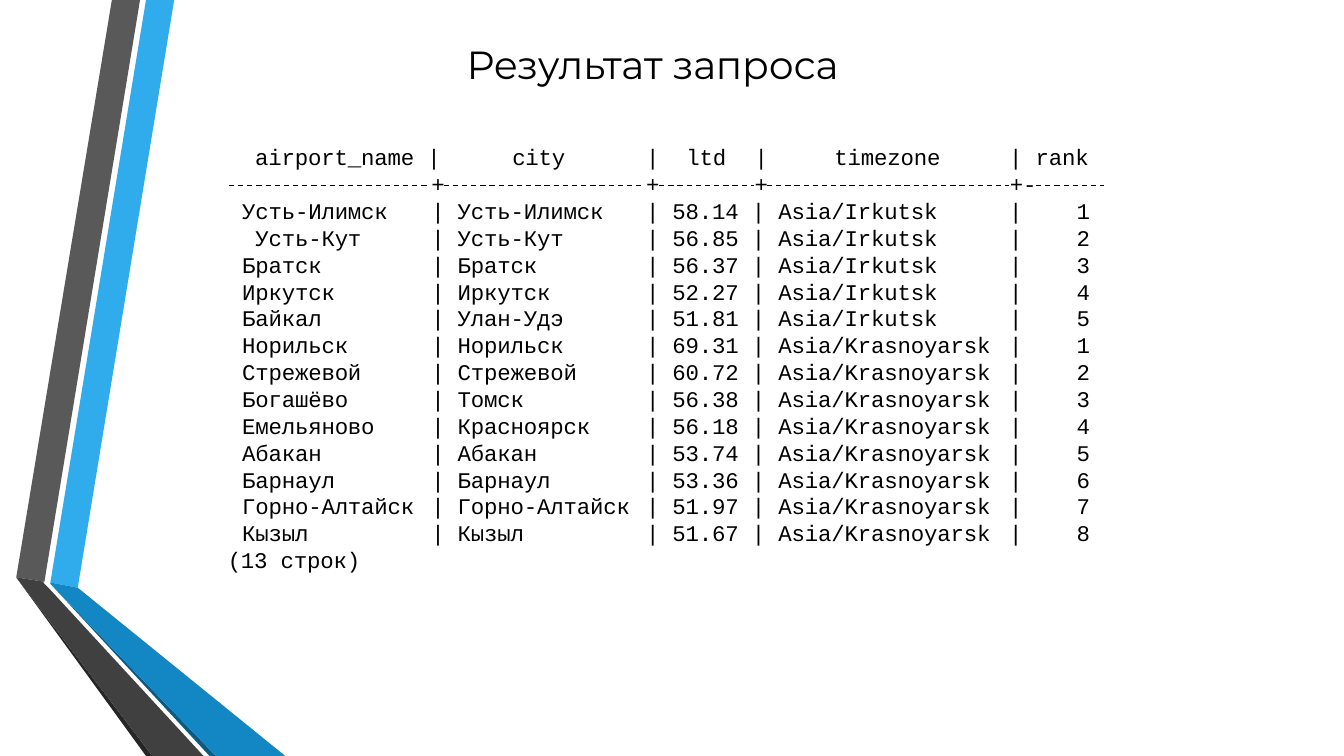
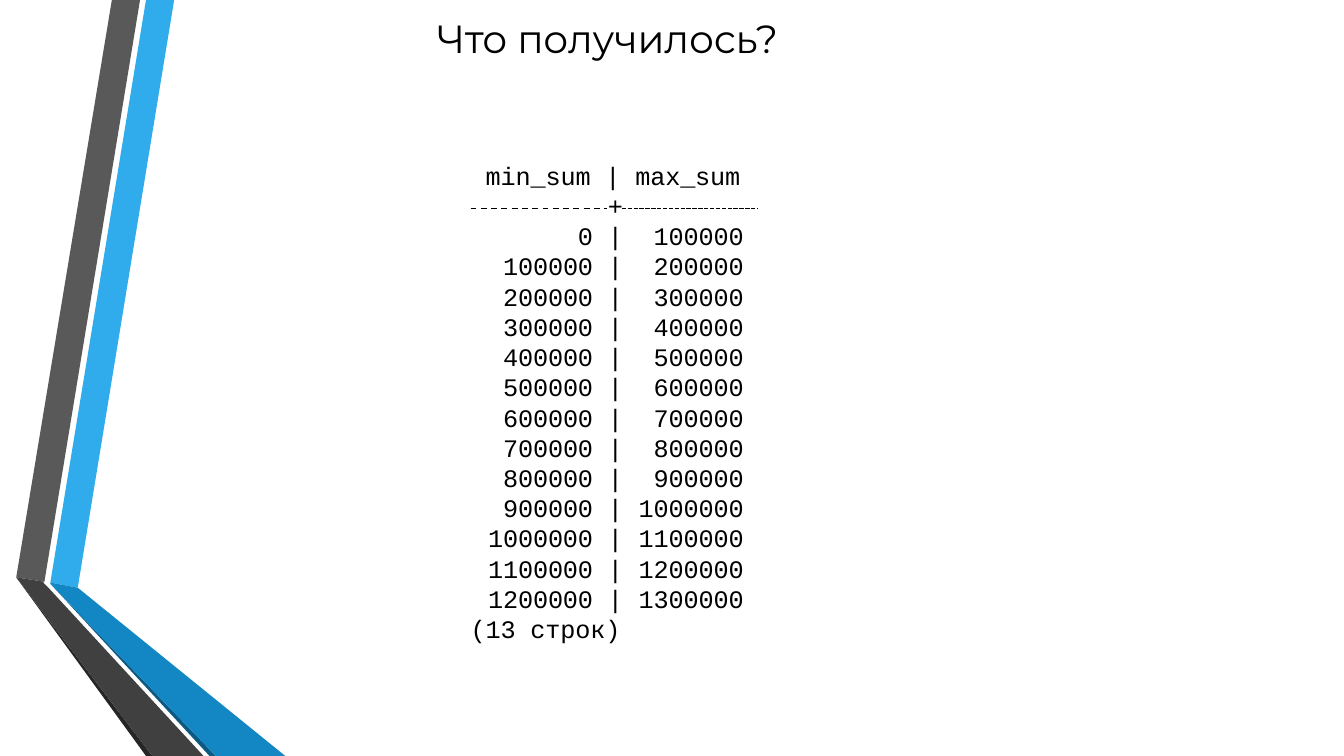
from pptx import Presentation
from pptx.dml.color import RGBColor
from pptx.enum.dml import MSO_LINE
from pptx.enum.shapes import MSO_CONNECTOR
from pptx.enum.text import MSO_ANCHOR, MSO_AUTO_SIZE, PP_ALIGN
from pptx.oxml.ns import qn
from pptx.util import Cm, Pt
from lxml.etree import SubElement

# Shared look
BLACK = RGBColor(0x00, 0x00, 0x00)
SKY = RGBColor(0x30, 0xAC, 0xEC)
BLUE = RGBColor(0x12, 0x87, 0xC3)
NAVY = RGBColor(0x0C, 0x5A, 0x82)
GRAY = RGBColor(0x59, 0x59, 0x59)
CHARCOAL = RGBColor(0x40, 0x40, 0x40)
SOOT = RGBColor(0x26, 0x26, 0x26)
TITLE_FONT = "Montserrat"
CODE_FONT = "Courier New"
CM_PER_PT = 2.54 / 72

# Ribbon outlines in hundredths of a centimetre, back to front
RIBBONS = [
    (SKY, [(127, 1468), (196, 1481), (439, 0), (368, 0)]),
    (GRAY, [(353, 0), (282, 0), (41, 1455), (112, 1466)]),
    (SOOT, [(41, 1455), (368, 1905), (384, 1905)]),
    (NAVY, [(127, 1471), (528, 1905), (544, 1905)]),
    (BLUE, [(127, 1468), (127, 1471), (544, 1905), (719, 1905), (196, 1481)]),
    (CHARCOAL, [(513, 1905), (122, 1481), (109, 1468), (112, 1466),
                (41, 1455), (384, 1905)]),
]

# Query results
AIRPORTS = [
    ("Усть-Илимск", "Усть-Илимск", "58.14", "Irkutsk", 1),
    (" Усть-Кут", "Усть-Кут", "56.85", "Irkutsk", 2),
    ("Братск", "Братск", "56.37", "Irkutsk", 3),
    ("Иркутск", "Иркутск", "52.27", "Irkutsk", 4),
    ("Байкал", "Улан-Удэ", "51.81", "Irkutsk", 5),
    ("Норильск", "Норильск", "69.31", "Krasnoyarsk", 1),
    ("Стрежевой", "Стрежевой", "60.72", "Krasnoyarsk", 2),
    ("Богашёво", "Томск", "56.38", "Krasnoyarsk", 3),
    ("Емельяново", "Красноярск", "56.18", "Krasnoyarsk", 4),
    ("Абакан", "Абакан", "53.74", "Krasnoyarsk", 5),
    ("Барнаул", "Барнаул", "53.36", "Krasnoyarsk", 6),
    ("Горно-Алтайск", "Горно-Алтайск", "51.97", "Krasnoyarsk", 7),
    ("Кызыл", "Кызыл", "51.67", "Krasnoyarsk", 8),
]
STEP = 100000
RANGES = [(n * STEP, (n + 1) * STEP) for n in range(13)]
ROW_COUNT = "(13 строк)"


def write(frame, lines, font=CODE_FONT, size=16, align=PP_ALIGN.LEFT,
          pitch=None, anchor=MSO_ANCHOR.TOP):
    """Fill a text frame with one paragraph per line."""
    frame.margin_left = frame.margin_right = 0
    frame.margin_top = frame.margin_bottom = 0
    frame.word_wrap = True
    frame.auto_size = MSO_AUTO_SIZE.NONE
    frame.vertical_anchor = anchor
    for n, line in enumerate(lines):
        para = frame.add_paragraph() if n else frame.paragraphs[0]
        para.alignment = align
        if pitch:
            para.line_spacing = Pt(pitch)
        span = para.add_run()
        span.text = line
        span.font.name = font
        span.font.size = Pt(size)
        span.font.color.rgb = BLACK
        span.font._element.set("spc", "-10")


def add_column(page, x, row, lines, top, size, align=PP_ALIGN.LEFT):
    """Put lines on the row grid; x is the edge the text aligns to."""
    pitch = 1.2 * size
    row_height = pitch * CM_PER_PT
    width = max(map(len, lines)) * 0.6 * size * CM_PER_PT + 0.2
    left = x - width if align == PP_ALIGN.RIGHT else x
    box = page.shapes.add_textbox(Cm(left), Cm(top + row * row_height),
                                  Cm(width), Cm(len(lines) * row_height))
    write(box.text_frame, lines, size=size, align=align, pitch=pitch)


def add_rule(page, start, end, y, weight, dash=MSO_LINE.DASH):
    rule = page.shapes.add_connector(MSO_CONNECTOR.STRAIGHT,
                                     Cm(start), Cm(y), Cm(end), Cm(y))
    rule.line.color.rgb = BLACK
    rule.line.width = Pt(weight)
    rule.line.dash_style = dash
    SubElement(rule._element.spPr, qn("a:effectLst"))


def add_ribbons(page, layout):
    """Draw the ribbons and move them to the layout behind its placeholders."""
    for n, (color, points) in enumerate(RIBBONS):
        builder = page.shapes.build_freeform(*points[0], scale=Cm(0.01))
        builder.add_line_segments(points[1:], close=True)
        ribbon = builder.convert_to_shape()
        ribbon.fill.solid()
        ribbon.fill.fore_color.rgb = color
        ribbon.line.fill.background()
        ribbon.shadow.inherit = False
        ribbon.element.nvSpPr.cNvPr.set("id", str(100 + n))
        layout.shapes.element.insert(2 + n, ribbon.element)


def add_page(deck, layout, title, left, top, width, height):
    page = deck.slides.add_slide(layout)
    box = page.shapes.title
    box.left, box.top = Cm(left), Cm(top)
    box.width, box.height = Cm(width), Cm(height)
    write(box.text_frame, [title], font=TITLE_FONT, size=28,
          align=PP_ALIGN.CENTER, anchor=MSO_ANCHOR.MIDDLE)
    return page


def add_airports(page):
    grid = {"top": 3.61, "size": 16}
    # Headings and rule
    for x, text in [(6.43, "airport_name |"), (12.91, "city"), (16.28, "|"),
                    (17.3, "ltd"), (19.02, "|"), (21.03, "timezone"),
                    (25.43, "| rank")]:
        add_column(page, x, 0, [text], **grid)
    for x, text in [(10.87, "+"), (16.28, "+"), (19.02, "+"), (25.45, "+-")]:
        add_column(page, x, 1, [text], **grid)
    for start, end in [(5.77, 10.85), (11.18, 16.26), (16.61, 19),
                       (19.33, 25.43), (26.11, 27.81)]:
        add_rule(page, start, end, 4.67, 0.94)
    # Body columns
    names, cities, latitudes, zones, ranks = zip(*AIRPORTS)
    places = [f"| {latitude} | Asia/{zone}"
              for latitude, zone in zip(latitudes, zones)]
    for x, lines in [(6.1, names), (10.87, [f"| {city}" for city in cities]),
                     (16.28, places), (25.43, ["|"] * len(AIRPORTS)),
                     (27.13, [str(rank) for rank in ranks])]:
        add_column(page, x, 2, lines, **grid)
    add_column(page, 5.74, 2 + len(AIRPORTS), [ROW_COUNT], **grid)


def add_ranges(page):
    grid = {"top": 4.03, "size": 18}
    # Headings and rule
    add_column(page, 12.24, 0, ["min_sum | max_sum"], **grid)
    add_column(page, 15.32, 1, ["+"], **grid)
    add_rule(page, 11.86, 15.29, 5.26, 1.06)
    add_rule(page, 15.67, 19.08, 5.26, 1.06, MSO_LINE.SQUARE_DOT)
    # Body columns
    for x, lines in [(15.7, [f"{low} |" for low, high in RANGES]),
                     (18.74, [str(high) for low, high in RANGES])]:
        add_column(page, x, 2, lines, align=PP_ALIGN.RIGHT, **grid)
    add_column(page, 11.86, 2 + len(RANGES), [ROW_COUNT], **grid)


def main():
    deck = Presentation()
    deck.slide_width, deck.slide_height = Cm(33.87), Cm(19.05)
    layout = deck.slide_layouts.get_by_name("Title Only")

    page = add_page(deck, layout, "Результат запроса", 6.96, 1, 18.97, 1.22)
    add_ribbons(page, layout)
    add_airports(page)

    page = add_page(deck, layout, "Что получилось?", 5.46, 0.33, 19.69, 1.24)
    add_ranges(page)

    deck.save("out.pptx")


if __name__ == "__main__":
    main()
